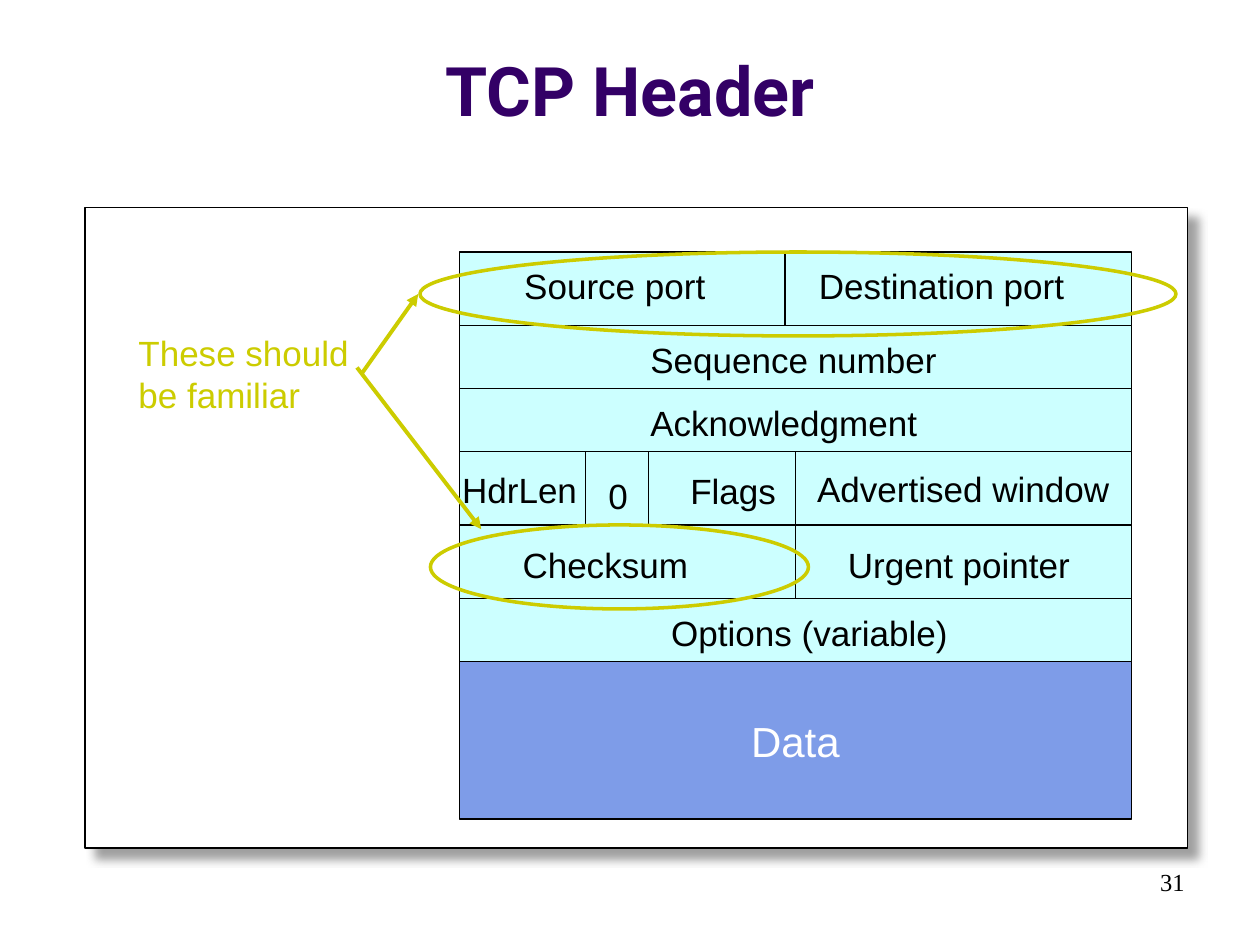
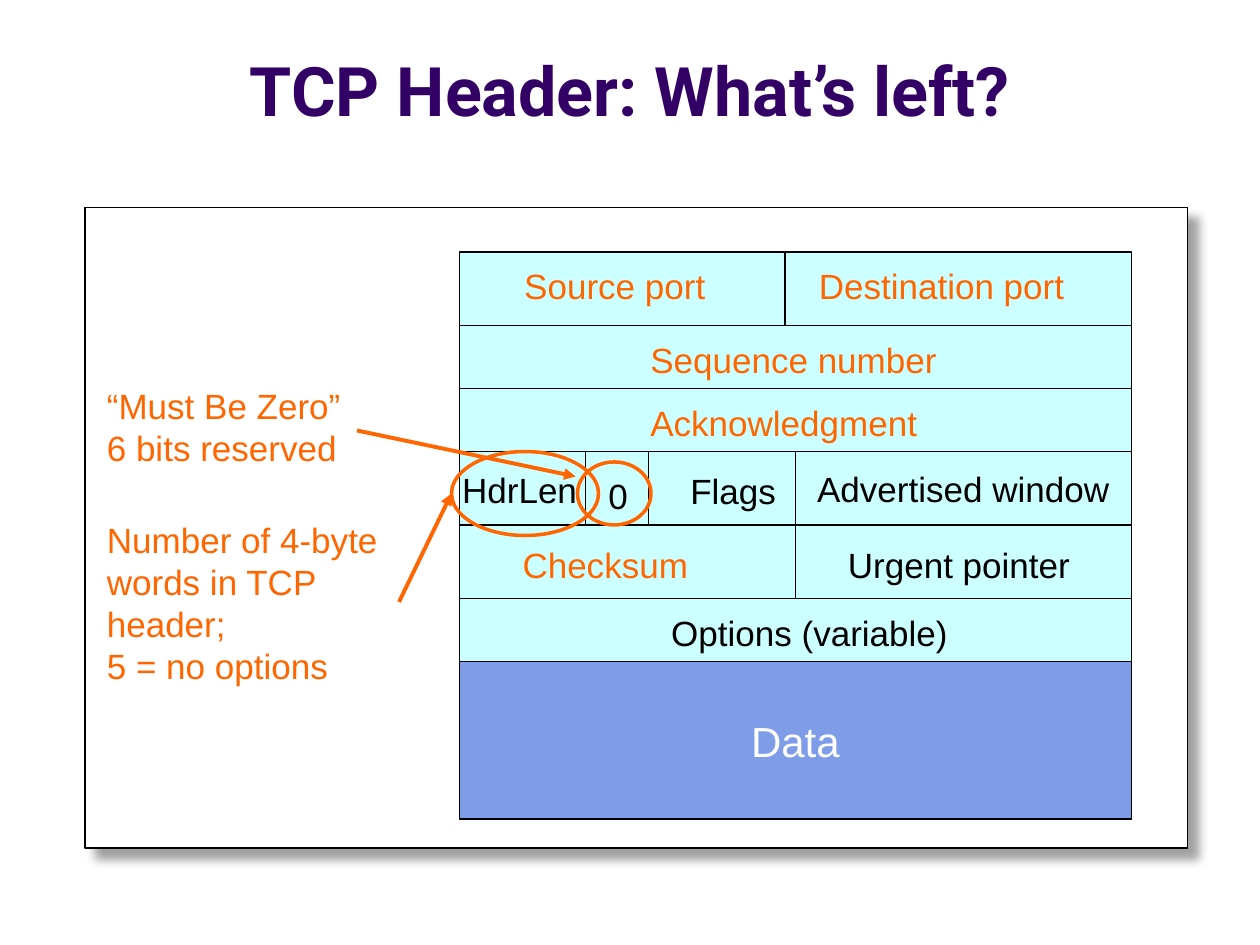
import pptx
import pptx.util
import pptx.dml.color
import pptx.enum.shapes
import pptx.enum.text
import pptx.oxml
import pptx.oxml.ns

Pt = pptx.util.Pt
RGBColor = pptx.dml.color.RGBColor
Shape = pptx.enum.shapes.MSO_SHAPE
Line = pptx.enum.shapes.MSO_CONNECTOR
Align = pptx.enum.text.PP_ALIGN
Anchor = pptx.enum.text.MSO_ANCHOR
Fit = pptx.enum.text.MSO_AUTO_SIZE

BLACK = RGBColor(0x00, 0x00, 0x00)
WHITE = RGBColor(0xFF, 0xFF, 0xFF)
PURPLE = RGBColor(0x33, 0x00, 0x66)
CYAN = RGBColor(0xCC, 0xFF, 0xFF)
BLUE = RGBColor(0x7E, 0x9C, 0xE8)
OLIVE = RGBColor(0xCC, 0xCC, 0x00)
ORANGE = RGBColor(0xFF, 0x66, 0x00)

LEFT, RIGHT, TOP = 262.5, 646.5, 144
PORT, HALF = 448.5, 454.5  # column splits
# Each row of the header: its height and its inner column splits.
ROWS = [(42, [PORT]), (36, []), (36, []), (42, [HALF]), (42, [HALF]), (36, [])]
FLAGS_TOP, DATA_TOP, DATA_HIGH = 258, 378, 90
TICKS = [334.5, 370.5]
# Each field: its text, left, top and width.
FIELDS = [
    ("Source port", 292.5, 147.6, 119),
    ("Destination port", 460.8, 147.6, 156),
    ("Sequence number", 364.5, 189.8, 179),
    ("Acknowledgment", 364.5, 225.8, 168),
    ("Advertised window", 459.8, 263.5, 182),
    ("Flags", 387.4, 265, 64),
    ("0", 340.5, 267.7, 26),
    ("Checksum", 291.5, 306.8, 110),
    ("Urgent pointer", 477.4, 306.8, 143),
    ("Options (variable)", 376.5, 345.8, 174),
]
KNOWN = {"Source port", "Destination port", "Sequence number",
         "Acknowledgment", "Checksum"}

SHADOW = (
    '<a:effectLst %s><a:outerShdw blurRad="63500" dist="107950" dir="2700000" '
    'algn="tl" rotWithShape="0"><a:srgbClr val="808080"><a:alpha val="75000"/>'
    '</a:srgbClr></a:outerShdw></a:effectLst>' % pptx.oxml.ns.nsdecls("a"))


def style(frame, size, color, font="Arial", align=Align.LEFT, bold=False):
    """Format every paragraph of a text frame."""
    for para in frame.paragraphs:
        para.alignment = align
        para.font.size = Pt(size)
        para.font.name = font
        para.font.bold = bold
        para.font.color.rgb = color


def box(slide, x, y, w, h, fill=CYAN):
    """Draw a rectangle with a thin black outline."""
    rect = slide.shapes.add_shape(Shape.RECTANGLE, Pt(x), Pt(y), Pt(w), Pt(h))
    rect.shadow.inherit = False
    rect.fill.solid()
    rect.fill.fore_color.rgb = fill
    rect.line.color.rgb = BLACK
    rect.line.width = Pt(0.75)
    return rect


def ring(slide, x, y, w, h, color):
    """Draw a hollow ellipse around a field."""
    oval = slide.shapes.add_shape(Shape.OVAL, Pt(x), Pt(y), Pt(w), Pt(h))
    oval.shadow.inherit = False
    oval.fill.background()
    oval.line.color.rgb = color
    oval.line.width = Pt(2)


def rule(slide, start, end, color=BLACK, width=0.75, arrow=False):
    """Draw a straight line, with an arrowhead at its end if asked."""
    x, y = start
    line = slide.shapes.add_connector(
        Line.STRAIGHT, Pt(x), Pt(y), Pt(end[0]), Pt(end[1]))
    line.line.color.rgb = color
    line.line.width = Pt(width)
    if arrow:
        line.line._get_or_add_ln().append(pptx.oxml.parse_xml(
            '<a:tailEnd %s type="triangle"/>' % pptx.oxml.ns.nsdecls("a")))
    line._element.spPr.append(pptx.oxml.parse_xml(
        '<a:effectLst %s/>' % pptx.oxml.ns.nsdecls("a")))


def label(slide, text, x, y, w, h=31, color=BLACK, fill=None, wrap=False):
    """Add a text box that grows with its text."""
    area = slide.shapes.add_textbox(Pt(x), Pt(y), Pt(w), Pt(h))
    if fill is not None:
        area.fill.solid()
        area.fill.fore_color.rgb = fill
    frame = area.text_frame
    frame.text = text
    frame.word_wrap = wrap
    frame.auto_size = Fit.SHAPE_TO_FIT_TEXT
    style(frame, 20, color)


def start(deck, text):
    """Add a slide with its title and the shadowed panel."""
    slide = deck.slides.add_slide(deck.slide_layouts[5])
    title = slide.shapes.title
    title.left, title.top = Pt(0), Pt(9.4)
    title.width, title.height = Pt(720), Pt(68.4)
    frame = title.text_frame
    frame.text = text
    frame.auto_size = Fit.NONE
    frame.vertical_anchor = Anchor.BOTTOM
    style(frame, 39, PURPLE, "Roboto", Align.CENTER, True)
    panel = box(slide, 48.5, 118.6, 630, 366, WHITE)
    props = panel._element.spPr
    props.remove(props.find(pptx.oxml.ns.qn("a:effectLst")))
    props.append(pptx.oxml.parse_xml(SHADOW))
    return slide


def header(slide, known=BLACK):
    """Draw the TCP header, with the known fields in their own colour."""
    y = TOP
    for high, splits in ROWS:
        edges = [LEFT, *splits, RIGHT]
        for x, end in zip(edges, edges[1:]):
            box(slide, x, y, end - x, high)
        y += high
    for x in TICKS:
        rule(slide, (x, FLAGS_TOP), (x, FLAGS_TOP + 42))
    for text, x, y, w in FIELDS:
        color = known if text in KNOWN else BLACK
        label(slide, text, x, y, w, color=color, fill=CYAN)
    label(slide, "HdrLen", 257, 264.3, 84, wrap=True)
    data = box(slide, LEFT, DATA_TOP, RIGHT - LEFT, DATA_HIGH, BLUE)
    frame = data.text_frame
    frame.text = "Data"
    frame.word_wrap = False
    frame.vertical_anchor = Anchor.MIDDLE
    style(frame, 24, WHITE, align=Align.CENTER)


def number(slide, text):
    """Add the page number at the lower right."""
    area = slide.shapes.add_textbox(Pt(516), Pt(492), Pt(168), Pt(36))
    area.text_frame.text = text
    area.text_frame.word_wrap = True
    style(area.text_frame, 14, BLACK, "Times New Roman", Align.RIGHT)


def familiar(deck):
    """Build the slide that marks the familiar fields."""
    slide = start(deck, "TCP Header")
    number(slide, "31")
    header(slide)
    label(slide, "These should\nbe familiar", 72, 186, 135, 55.5, OLIVE)
    ring(slide, 240, 144, 432, 48, OLIVE)
    ring(slide, 246, 300, 216, 48, OLIVE)
    rule(slide, (206.5, 213.8), (239, 168), OLIVE, 2.25, True)
    rule(slide, (204, 210), (275, 302.4), OLIVE, 2.25, True)


def remain(deck):
    """Build the slide that explains the remaining fields."""
    slide = start(deck, "TCP Header: What\u2019s left?")
    header(slide, ORANGE)
    label(slide, "\u201cMust Be Zero\u201d\v6 bits reserved",
          54, 216, 174, 55.5, ORANGE, wrap=True)
    ring(slide, 330, 264, 42, 36, ORANGE)
    rule(slide, (204, 246), (329, 272.3), ORANGE, 2.25, True)
    label(slide, "Number of 4-byte words in TCP header;\v5 = no options",
          54, 293, 174, 103, ORANGE, wrap=True)
    ring(slide, 258, 258, 84, 48, ORANGE)
    rule(slide, (228, 344), (258, 282), ORANGE, 2.25, True)


def main():
    """Build and save the deck."""
    deck = pptx.Presentation()
    deck.slide_width, deck.slide_height = Pt(720), Pt(540)
    familiar(deck)
    remain(deck)
    deck.save("out.pptx")


main()
